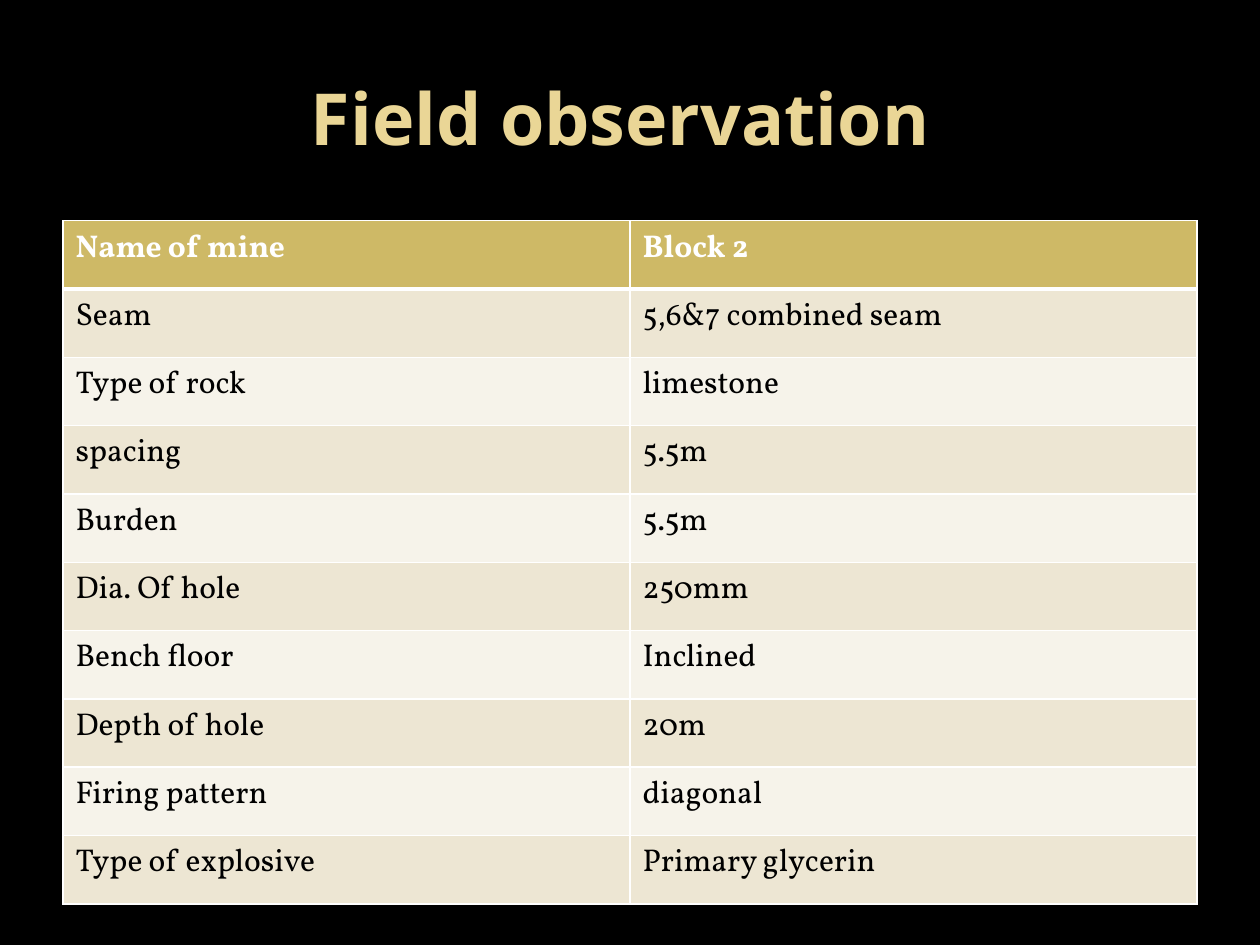
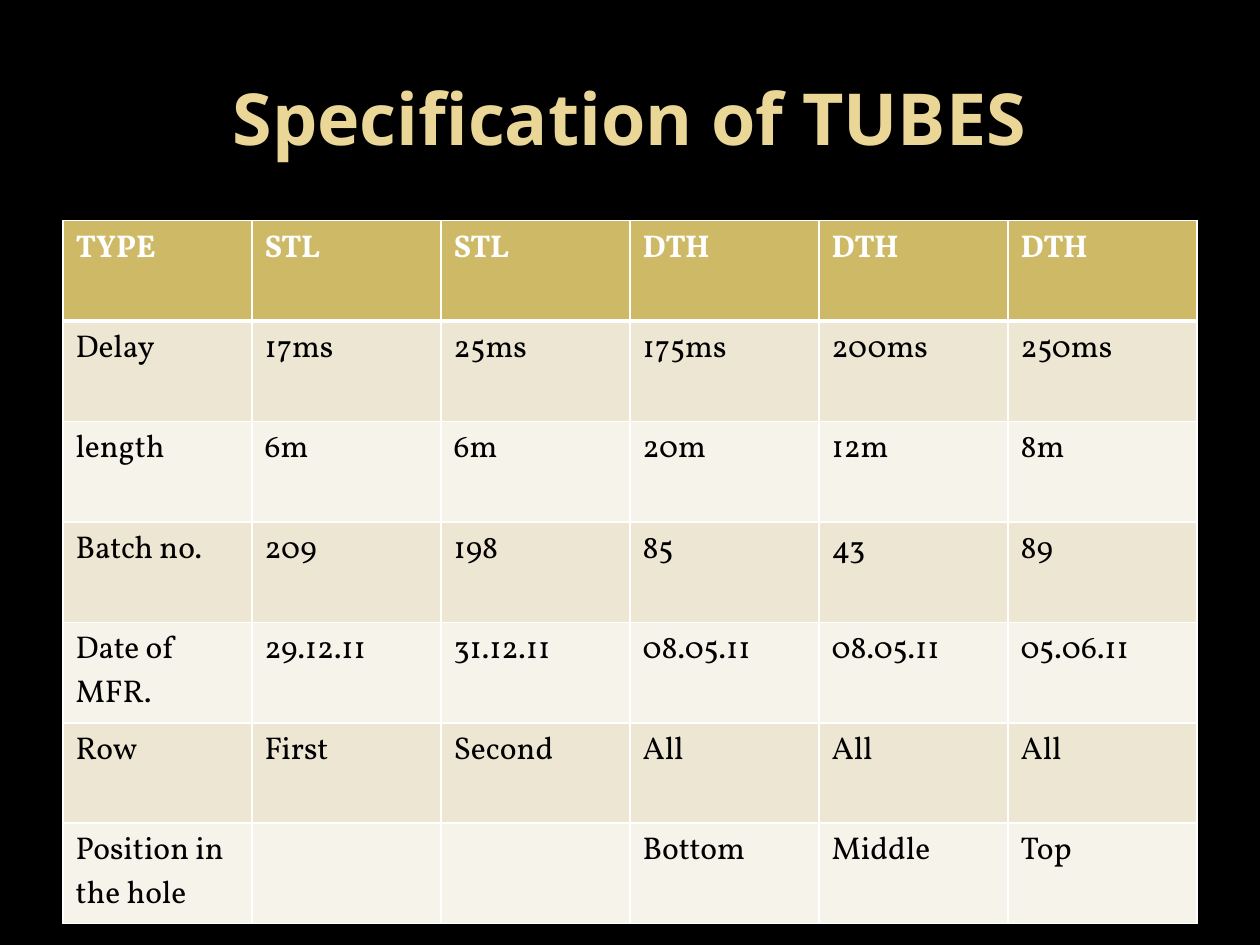
from collections import namedtuple
from dataclasses import dataclass

from lxml.etree import SubElement
from pptx import Presentation
from pptx.dml.color import RGBColor as Rgb
from pptx.enum.text import MSO_ANCHOR as Anchor, MSO_AUTO_SIZE as AutoSize, PP_ALIGN as Align
from pptx.oxml.ns import qn
from pptx.util import Cm, Pt

Box = namedtuple("Box", "left top width height")


@dataclass(frozen=True)
class Theme:
    background: str = "000000"
    title: str = "EAD696"
    header_fill: str = "CEB966"
    header_text: str = "FFFFFF"
    body_text: str = "000000"
    bands: tuple = ("EDE6D3", "F6F3EA")
    border: str = "FFFFFF"
    thin: float = 1
    thick: float = 3
    title_font: str = "Open Sans"
    body_font: str = "Vollkorn"
    title_size: float = 41
    body_size: float = 18


THEME = Theme()
TITLE_BOX = Box(Cm(1.27), Cm(0.76), Cm(22.86), Cm(3.18))
OBSERVATION_BOX = Box(Cm(1.27), Cm(4.45), Cm(22.86), Cm(13.77))
SPECIFICATION_BOX = OBSERVATION_BOX._replace(height=Cm(14.17))

OBSERVATIONS = [
    ("Name of mine", "Block 2"),
    ("Seam", "5,6&7 combined seam"),
    ("Type of rock", "limestone"),
    ("spacing", "5.5m"),
    ("Burden", "5.5m"),
    ("Dia. Of hole", "250mm"),
    ("Bench floor", "Inclined"),
    ("Depth of hole", "20m"),
    ("Firing pattern", "diagonal"),
    ("Type of explosive", "Primary glycerin"),
]
SPECIFICATIONS = [
    ("TYPE", "STL", "STL", "DTH", "DTH", "DTH"),
    ("Delay", "17ms", "25ms", "175ms", "200ms", "250ms"),
    ("length", "6m", "6m", "20m", "12m", "8m"),
    ("Batch no.", "209", "198", "85", "43", "89"),
    ("Date of MFR.", "29.12.11", "31.12.11", "08.05.11", "08.05.11", "05.06.11"),
    ("Row", "First", "Second", "All", "All", "All"),
    ("Position in the hole", "", "", "Bottom", "Middle", "Top"),
]


def add_span(para, text, font, size, color, bold):
    span = para.add_run()
    span.text = text
    span.font.name = font
    span.font.size = Pt(size)
    span.font.bold = bold
    span.font.color.rgb = Rgb.from_string(color)


def place_title(page, box, text):
    title = page.shapes.title
    title.left, title.top, title.width, title.height = box
    frame = title.text_frame
    frame.auto_size = AutoSize.NONE
    frame.word_wrap = True
    frame.vertical_anchor = Anchor.MIDDLE
    para = frame.paragraphs[0]
    para.alignment = Align.CENTER
    add_span(para, text, THEME.title_font, THEME.title_size, THEME.title, True)


def set_borders(cell, row):
    """Draw thin lines, with a thick one between the header and the body."""
    widths = {
        "a:lnL": THEME.thin,
        "a:lnR": THEME.thin,
        "a:lnT": THEME.thick if row == 1 else THEME.thin,
        "a:lnB": THEME.thick if row == 0 else THEME.thin,
    }
    properties = cell._tc.get_or_add_tcPr()
    for side, width in widths.items():
        line = SubElement(properties, qn(side), w=str(Pt(width)))
        fill = SubElement(line, qn("a:solidFill"))
        SubElement(fill, qn("a:srgbClr"), val=THEME.border)


def format_cell(cell, row, text):
    header = row == 0
    set_borders(cell, row)
    cell.fill.solid()
    cell.fill.fore_color.rgb = Rgb.from_string(
        THEME.header_fill if header else THEME.bands[(row - 1) % 2])
    if text:
        add_span(cell.text_frame.paragraphs[0], text, THEME.body_font, THEME.body_size,
                 THEME.header_text if header else THEME.body_text, header)


def place_table(page, box, records):
    """Fill the box with equal rows and equal columns."""
    table = page.shapes.add_table(len(records), len(records[0]), *box).table
    for column in table.columns:
        column.width = box.width // len(records[0])
    for row, record in enumerate(records):
        table.rows[row].height = box.height // len(records)
        for column, text in enumerate(record):
            format_cell(table.cell(row, column), row, text)


def add_table_page(deck, title, box, records):
    page = deck.slides.add_slide(deck.slide_layouts.get_by_name("Title Only"))
    place_title(page, TITLE_BOX, title)
    place_table(page, box, records)


def main():
    deck = Presentation()
    deck.slide_width, deck.slide_height = Cm(25.4), Cm(19.05)
    background = deck.slide_master.background.fill
    background.solid()
    background.fore_color.rgb = Rgb.from_string(THEME.background)
    add_table_page(deck, "Field observation ", OBSERVATION_BOX, OBSERVATIONS)
    add_table_page(deck, "Specification of TUBES", SPECIFICATION_BOX, SPECIFICATIONS)
    deck.save("out.pptx")


if __name__ == "__main__":
    main()
